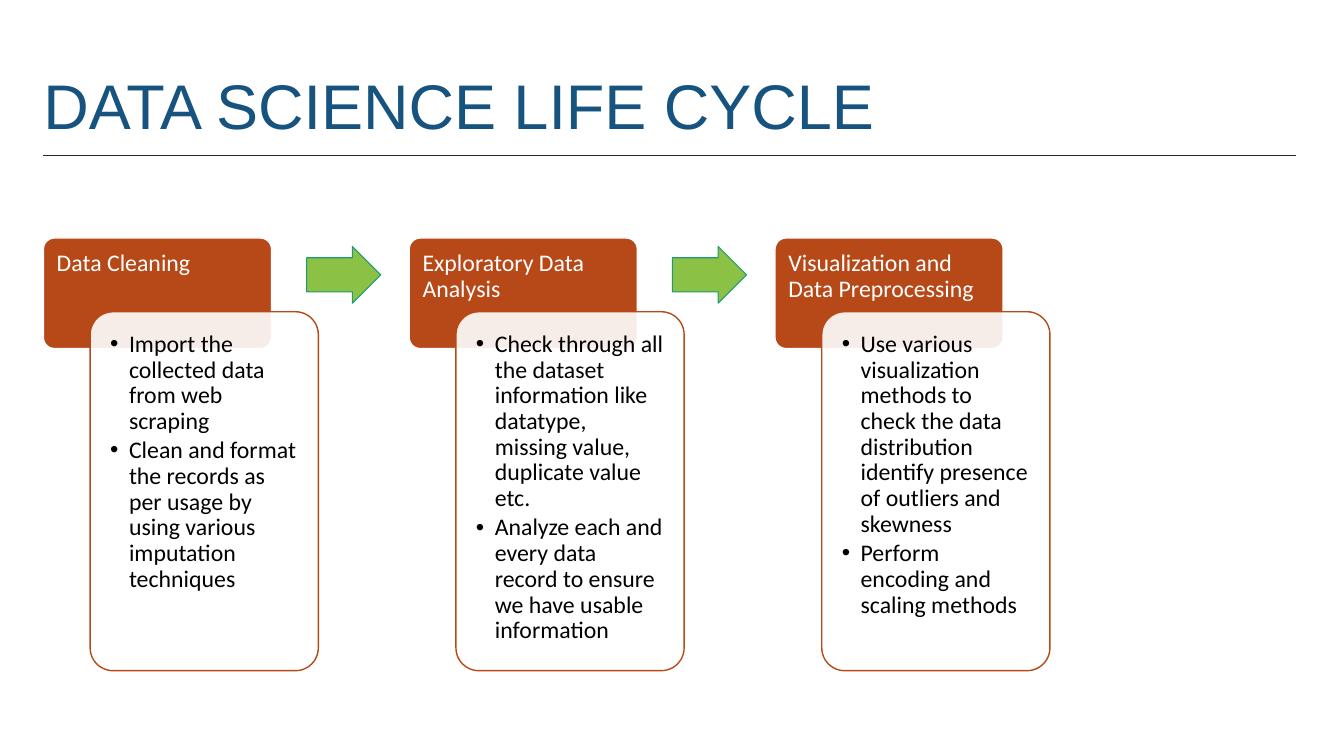
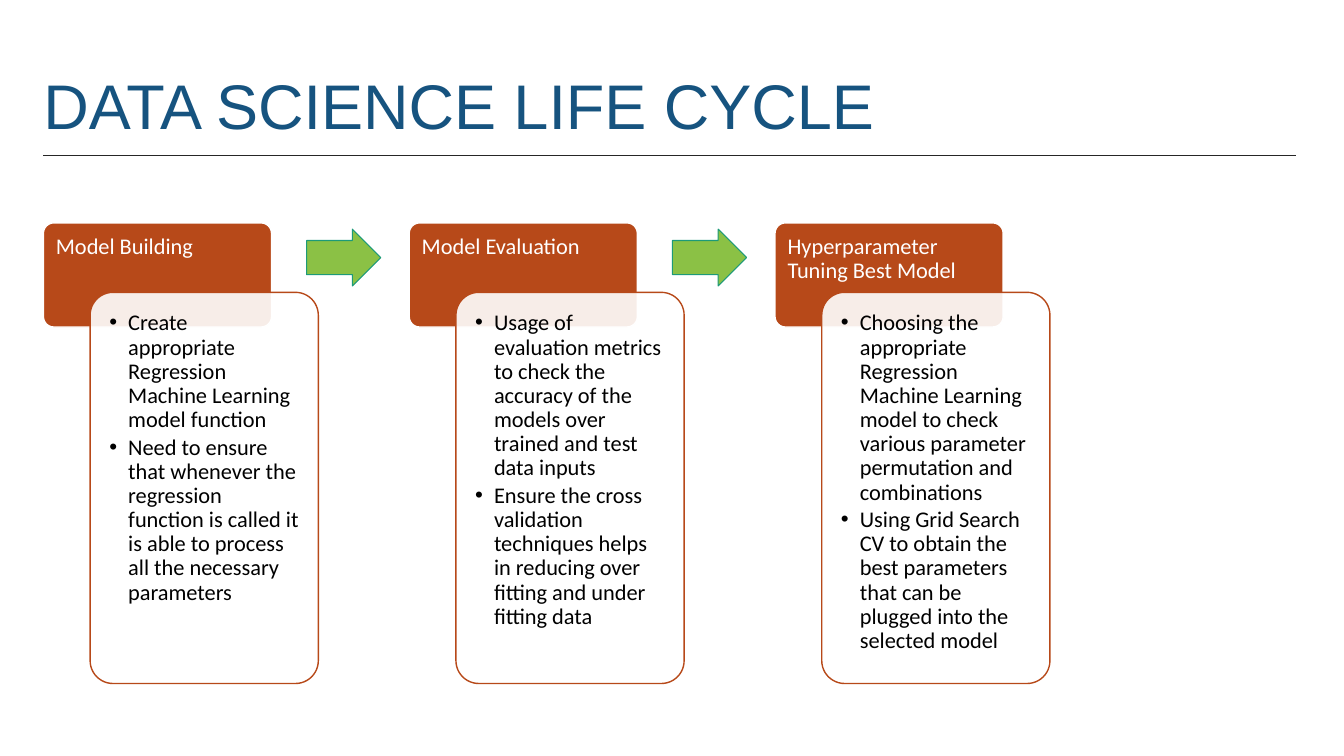
from lxml.etree import SubElement as Sub
from pptx import Presentation
from pptx.dml.color import RGBColor
from pptx.enum.shapes import MSO_CONNECTOR as Line, MSO_SHAPE as Form
from pptx.enum.text import MSO_ANCHOR as Anchor, MSO_AUTO_SIZE as Fit, PP_ALIGN as Align
from pptx.oxml.ns import qn
from pptx.util import Pt

# Colours and fonts
BLUE = RGBColor(0x16, 0x53, 0x7F)
DARK = RGBColor(0x26, 0x26, 0x26)
RUST = RGBColor(0xB7, 0x49, 0x19)
GREEN = RGBColor(0x8B, 0xC1, 0x45)
TEAL = RGBColor(0x1D, 0x9A, 0x78)
WHITE = RGBColor(0xFF, 0xFF, 0xFF)
BLACK = RGBColor(0x00, 0x00, 0x00)
HEAD_FONT, BODY_FONT = "Arial", "Calibri"

# Shared grid, in points
WIDE, HIGH = 960, 540
LEFT, SPAN = 31, 895
RULE_Y = 111
PITCH, STEP_W = 261.3, 163
CARD_DX = 33.4
ARROW_DX, ARROW_W, ARROW_H = 188, 53, 40.6
ROUND = 0.1
CORNER = 0.29 * ROUND  # text inset a rounded corner adds, per unit of short side

TITLE = "DATA SCIENCE LIFE CYCLE"

# Each slide: top, head height, card height, text size, steps
SLIDES = [
    (170, 79, 256.4, 17, [
        ("Data Cleaning", [
            "Import the collected data from web scraping",
            "Clean and format the records as per usage by using various "
            "imputation techniques"]),
        ("Exploratory Data Analysis", [
            "Check through all the dataset information like datatype, "
            "missing value, duplicate value etc.",
            "Analyze each and every data record to ensure we have usable "
            "information"]),
        ("Visualization and Data Preprocessing", [
            "Use various visualization methods to check the data "
            "distribution identify presence of outliers and skewness",
            "Perform encoding and scaling methods"]),
    ]),
    (159.2, 74.4, 279.4, 16, [
        ("Model Building", [
            "Create appropriate Regression Machine Learning model function",
            "Need to ensure that whenever the regression function is called "
            "it is able to process all the necessary parameters"]),
        ("Model Evaluation", [
            "Usage of evaluation metrics to check the accuracy of the models "
            "over trained and test data inputs",
            "Ensure the cross validation techniques helps in reducing over "
            "fitting and under fitting data"]),
        ("Hyperparameter Tuning Best Model", [
            "Choosing the appropriate Regression Machine Learning model to "
            "check various parameter permutation and combinations",
            "Using Grid Search CV to obtain the best parameters that can be "
            "plugged into the selected model"]),
    ]),
]


def add_run(para, text, font, size, color):
    run = para.add_run()
    run.text = text
    run.font.name = font
    run.font.size = Pt(size)
    run.font.color.rgb = color


def set_pads(frame, left, top, right, bottom):
    frame.margin_left, frame.margin_top = Pt(left), Pt(top)
    frame.margin_right, frame.margin_bottom = Pt(right), Pt(bottom)


def add_form(slide, form, box, fill, edge, width, adjust):
    shape = slide.shapes.add_shape(form, *map(Pt, box))
    shape.shadow.inherit = False
    shape.fill.solid()
    shape.fill.fore_color.rgb = fill
    shape.line.color.rgb = edge
    shape.line.width = Pt(width)
    for i, value in enumerate(adjust):
        shape.adjustments[i] = value
    return shape


def add_bullet(para):
    props = para._p.get_or_add_pPr()
    props.set("marL", str(Pt(13.5)))
    props.set("indent", str(Pt(-13.5)))
    Sub(props, qn("a:buFont")).set("typeface", HEAD_FONT)
    Sub(props, qn("a:buChar")).set("char", "•")


def write(shape, lines, size, color, pad, bullet=False):
    frame = shape.text_frame
    frame.word_wrap = True
    frame.vertical_anchor = Anchor.TOP
    set_pads(frame, pad, pad, pad, pad)
    for i, line in enumerate(lines):
        para = frame.add_paragraph() if i else frame.paragraphs[0]
        para.alignment = Align.LEFT
        para.line_spacing = 0.9
        para.space_after = Pt(0.15 * size)
        if bullet:
            add_bullet(para)
        add_run(para, line, BODY_FONT, size, color)


# Title and the rule below it
def add_title(slide):
    title = slide.shapes.title
    title.left, title.top = Pt(LEFT), Pt(26.6)
    title.width, title.height = Pt(SPAN), Pt(79)
    frame = title.text_frame
    frame.auto_size = Fit.NONE
    frame.word_wrap = True
    frame.vertical_anchor = Anchor.BOTTOM
    set_pads(frame, 0, 3.6, 0, 3.6)
    para = frame.paragraphs[0]
    para.alignment = Align.LEFT
    para.line_spacing = 0.9
    add_run(para, TITLE, HEAD_FONT, 45, BLUE)

    rule = slide.shapes.add_connector(
        Line.STRAIGHT, Pt(LEFT), Pt(RULE_Y), Pt(LEFT + SPAN), Pt(RULE_Y))
    rule.line.color.rgb = DARK
    rule.line.width = Pt(1)
    Sub(rule._element.spPr, qn("a:effectLst"))


# One step: a head and a translucent card that overlaps its lower third
def add_step(slide, x, y, head_h, card_h, size, name, points):
    pad = 0.56 * size
    head = add_form(slide, Form.ROUNDED_RECTANGLE, (x, y, STEP_W, head_h),
                    RUST, WHITE, 1, [ROUND])
    write(head, [name], size, WHITE, pad - CORNER * head_h)

    box = (x + CARD_DX, y + head_h * 2 / 3, STEP_W, card_h)
    card = add_form(slide, Form.ROUNDED_RECTANGLE, box, WHITE, RUST, 1, [ROUND])
    tint = card._element.spPr.find(qn("a:solidFill")).find(qn("a:srgbClr"))
    Sub(tint, qn("a:alpha")).set("val", "90000")
    write(card, points, size, BLACK, pad, bullet=True)


# Arrow to the next step, centred on the open part of the head
def add_arrow(slide, x, y, head_h):
    box = (x + ARROW_DX, y + head_h / 3 - ARROW_H / 2, ARROW_W, ARROW_H)
    add_form(slide, Form.RIGHT_ARROW, box, GREEN, TEAL, 0.75, [0.6, 0.5])


def add_cycle(deck, top, head_h, card_h, size, steps):
    slide = deck.slides.add_slide(deck.slide_layouts[5])
    add_title(slide)
    for i, (name, points) in enumerate(steps):
        x = LEFT + i * PITCH
        add_step(slide, x, top, head_h, card_h, size, name, points)
        if i < len(steps) - 1:
            add_arrow(slide, x, top, head_h)


def main():
    deck = Presentation()
    deck.slide_width, deck.slide_height = Pt(WIDE), Pt(HIGH)
    for data in SLIDES:
        add_cycle(deck, *data)
    deck.save("out.pptx")


if __name__ == "__main__":
    main()
